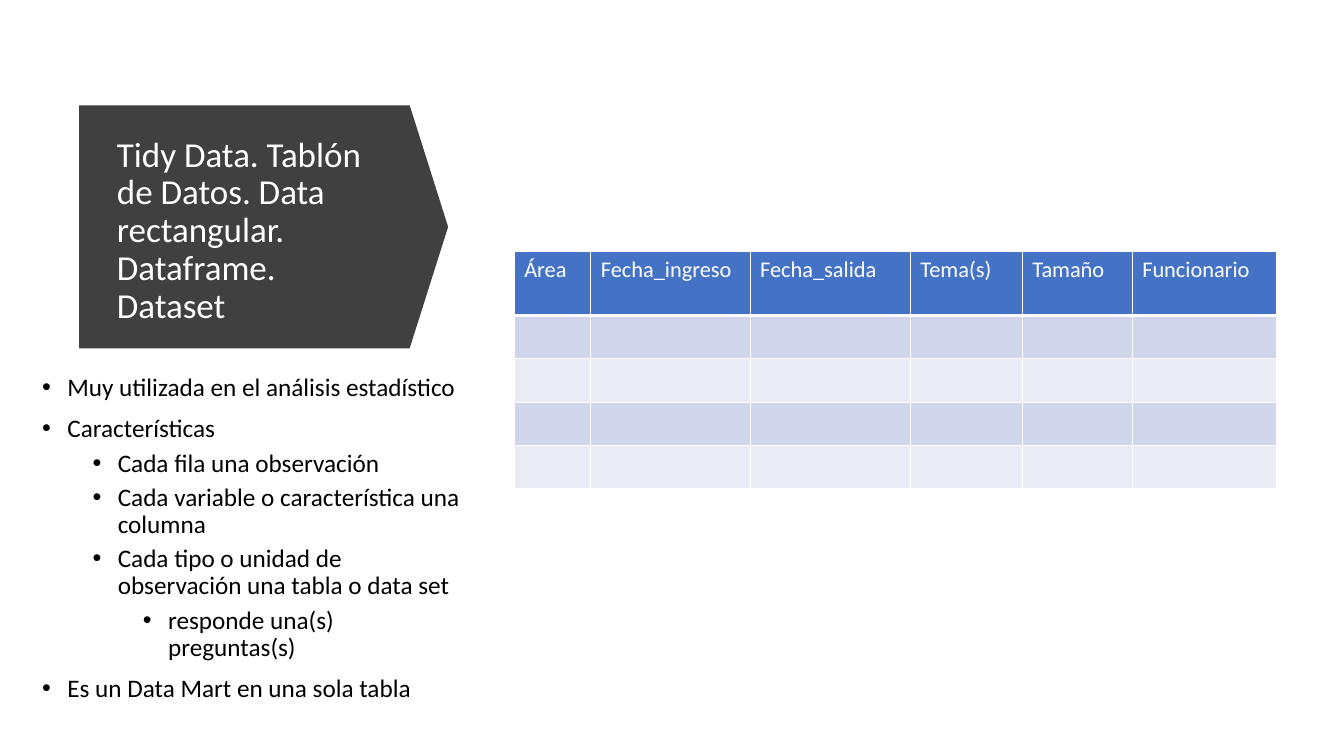
from dataclasses import dataclass

from lxml import etree
from pptx import Presentation
from pptx.dml.color import RGBColor
from pptx.enum.shapes import MSO_SHAPE
from pptx.enum.text import MSO_ANCHOR, MSO_AUTO_SIZE, PP_ALIGN
from pptx.oxml.ns import qn
from pptx.util import Pt

ARROW = MSO_SHAPE.DOWN_ARROW
MIDDLE = MSO_ANCHOR.MIDDLE
FIXED = MSO_AUTO_SIZE.NONE
LEFT = PP_ALIGN.LEFT
PX = 9144


@dataclass(frozen=True)
class Theme:
    """Hold the colours and type sizes of the slide."""
    face: str = "Calibri"
    white: str = "FFFFFF"
    black: str = "000000"
    dark: str = "404040"
    head: str = "4472C4"
    bands: tuple = ("CFD5EA", "E9EBF5")
    title: int = 25
    body: int = 18
    cell: int = 16


THEME = Theme()
TITLE = "Tidy Data. Tablón de Datos. Data rectangular. Dataframe. Dataset"
POINTS = [
    (0, "Muy utilizada en el análisis estadístico"),
    (0, "Características"),
    (1, "Cada fila una observación"),
    (1, "Cada variable o característica una columna"),
    (1, "Cada tipo o unidad de observación una tabla o data set"),
    (2, "responde una(s) preguntas(s)"),
    (0, "Es un Data Mart en una sola tabla"),
]
FIELDS = [("Área", 76), ("Fecha_ingreso", 158), ("Fecha_salida", 159),
          ("Tema(s)", 111), ("Tamaño", 109), ("Funcionario", 143)]
ROWS = [64, 43, 43, 43, 43]


def scale(*sizes):
    """Turn px lengths into EMU."""
    return [size * PX for size in sizes]


def apply(item, values):
    """Set each attribute of an item from a dict."""
    for name, value in values.items():
        setattr(item, name, value)


def paint(fill, color):
    """Give a fill one solid colour."""
    fill.solid()
    fill.fore_color.rgb = RGBColor.from_string(color)


def write(para, text, size, color):
    """Add one styled run to a paragraph."""
    run = para.add_run()
    run.text = text
    apply(run.font, {"name": THEME.face, "size": Pt(size), "bold": False})
    run.font.color.rgb = RGBColor.from_string(color)


def add_arrow(slide, box):
    """Draw the dark arrow behind the title."""
    arrow = slide.shapes.add_shape(ARROW, *scale(*box))
    arrow.rotation = 270
    arrow.adjustments[0] = 1
    arrow.adjustments[1] = 0.158
    arrow.shadow.inherit = False
    paint(arrow.fill, THEME.dark)
    arrow.line.fill.background()
    slide.shapes.title._element.addprevious(arrow._element)


def add_title(slide, box):
    """Place and fill the title."""
    title = slide.shapes.title
    apply(title, dict(zip(("left", "top", "width", "height"), scale(*box))))
    frame = title.text_frame
    apply(frame, {"word_wrap": True, "auto_size": FIXED,
                  "vertical_anchor": MIDDLE})
    para = frame.paragraphs[0]
    apply(para, {"alignment": LEFT, "line_spacing": 0.9})
    write(para, TITLE, THEME.title, THEME.white)


def add_bullet(para, level):
    """Indent a paragraph by level and mark it with a bullet."""
    props = para._p.get_or_add_pPr()
    left, hang = scale(25 + 50 * level, -25)
    props.set("marL", str(left))
    props.set("indent", str(hang))
    etree.SubElement(props, qn("a:buFont")).set("typeface", "Arial")
    etree.SubElement(props, qn("a:buChar")).set("char", "•")


def add_list(slide, box):
    """Write the bullet list."""
    frame = slide.shapes.add_textbox(*scale(*box)).text_frame
    frame.word_wrap = True
    for index, (level, text) in enumerate(POINTS):
        para = frame.add_paragraph() if index else frame.paragraphs[0]
        add_bullet(para, level)
        space = (5 if level else 10) if index else 0
        apply(para, {"level": level, "line_spacing": 0.9,
                     "space_before": Pt(space)})
        write(para, text, THEME.body, THEME.black)


def add_edges(cell, base):
    """Draw white borders around a cell, the lower one of a given width."""
    props = cell._tc.get_or_add_tcPr()
    for side, width in (("L", 1), ("R", 1), ("T", 1), ("B", base)):
        edge = etree.SubElement(props, qn(f"a:ln{side}"), w=str(Pt(width)))
        solid = etree.SubElement(edge, qn("a:solidFill"))
        etree.SubElement(solid, qn("a:srgbClr"), val=THEME.white)


def add_grid(slide, left, top):
    """Build the table with a header and banded empty rows."""
    width = sum(size for _, size in FIELDS)
    table = slide.shapes.add_table(
        len(ROWS), len(FIELDS), *scale(left, top, width, sum(ROWS))).table
    for row, size in zip(table.rows, ROWS):
        row.height = size * PX
    for col, (name, size) in enumerate(FIELDS):
        table.columns[col].width = size * PX
        write(table.cell(0, col).text_frame.paragraphs[0], name,
              THEME.cell, THEME.white)
        for row in range(len(ROWS)):
            cell = table.cell(row, col)
            add_edges(cell, 1 if row else 3)
            paint(cell.fill, THEME.bands[(row - 1) % 2] if row else THEME.head)


def main():
    """Build and save the slide."""
    deck = Presentation()
    apply(deck, dict(zip(("slide_width", "slide_height"), scale(1333, 750))))
    slide = deck.slides.add_slide(deck.slide_layouts[5])
    add_arrow(slide, (141, 42, 241, 366))
    add_title(slide, (106, 132, 292, 195))
    add_list(slide, (32, 367, 440, 341))
    add_grid(slide, 510, 249)
    deck.save("out.pptx")


if __name__ == "__main__":
    main()
